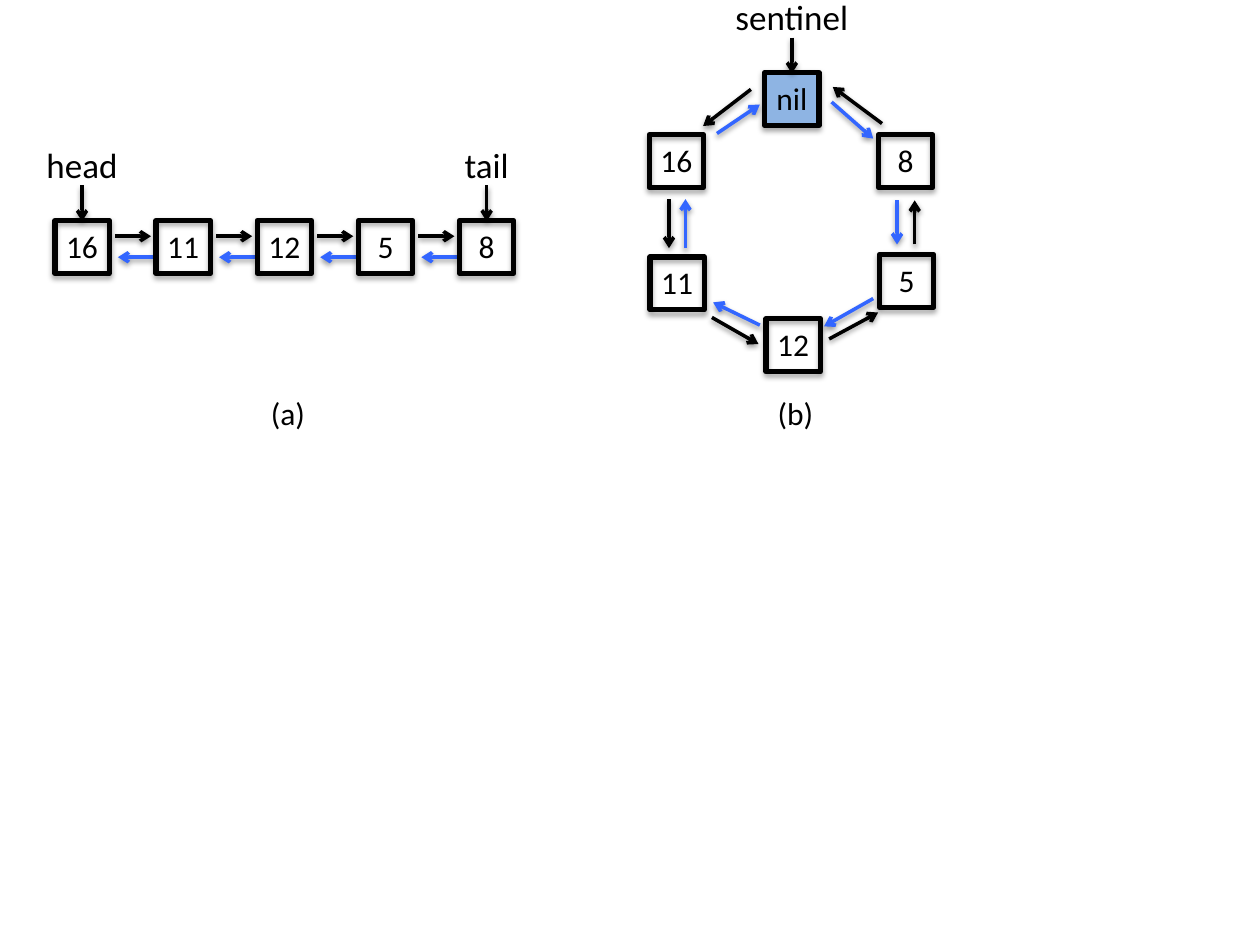
from lxml import etree
from pptx import Presentation
from pptx.dml.color import RGBColor
from pptx.enum.shapes import MSO_CONNECTOR, MSO_SHAPE
from pptx.enum.text import MSO_ANCHOR, PP_ALIGN
from pptx.oxml.ns import qn
from pptx.util import Pt

RECTANGLE = MSO_SHAPE.RECTANGLE
STRAIGHT = MSO_CONNECTOR.STRAIGHT
CENTER = PP_ALIGN.CENTER
MIDDLE = MSO_ANCHOR.MIDDLE

BLACK = "000000"
BLUE = "3366FF"
SENTINEL_FILL = "8EB4E3"
NODE_WIDTH = 31
NODE_HEIGHT = 30.2
NODE_TOP = 48
CAPTION_HEIGHT = 28.8
CAPTION_SHIFT = 2


def color(value):
    return RGBColor.from_string(value)


def add_shadow(shape, opacity, distance):
    shape_properties = shape._element.spPr
    effects = etree.SubElement(shape_properties, qn("a:effectLst"))
    shadow = etree.SubElement(
        effects, qn("a:outerShdw"), blurRad=str(Pt(3.1)), dist=str(Pt(distance)),
        dir="5400000", rotWithShape="0")
    shade = etree.SubElement(shadow, qn("a:srgbClr"), val=BLACK)
    etree.SubElement(shade, qn("a:alpha"), val=str(opacity * 1000))


def add_label(slide, text, center, top, width, height, size):
    label = slide.shapes.add_textbox(
        Pt(center - width / 2), Pt(top), Pt(width), Pt(height))
    frame = label.text_frame
    frame.word_wrap = False
    frame.vertical_anchor = MIDDLE
    paragraph = frame.paragraphs[0]
    paragraph.alignment = CENTER
    run = paragraph.add_run()
    run.text = text
    run.font.name = "Calibri"
    run.font.size = Pt(size)
    run.font.color.rgb = color(BLACK)


def add_node(slide, text, left, top, fill=None):
    node = slide.shapes.add_shape(
        RECTANGLE, Pt(left), Pt(top), Pt(NODE_WIDTH), Pt(NODE_HEIGHT))
    if fill:
        node.fill.solid()
        node.fill.fore_color.rgb = color(fill)
    else:
        node.fill.background()
    node.line.color.rgb = color(BLACK)
    node.line.width = Pt(3)
    add_shadow(node, 35, 1.8)
    add_label(slide, text, left + NODE_WIDTH / 2, top, 33, 28.8, 18)


def add_arrow(slide, start, end, line_color):
    arrow = slide.shapes.add_connector(
        STRAIGHT, Pt(start[0]), Pt(start[1]), Pt(end[0]), Pt(end[1]))
    arrow.line.color.rgb = color(line_color)
    arrow.line.width = Pt(2)
    etree.SubElement(arrow.line._get_or_add_ln(), qn("a:tailEnd"), type="arrow")
    add_shadow(arrow, 38, 1.6)


def add_pointer(slide, text, center, top):
    add_label(slide, text, center, top, 80, 31.7, 20)
    add_arrow(slide, (center, top + 28), (center, top + NODE_TOP + 0.5), BLACK)


def add_caption(slide, text, left, top, width, height):
    add_label(slide, text, left + width / 2 + CAPTION_SHIFT,
              top + height - CAPTION_HEIGHT, 35, CAPTION_HEIGHT, 18)


def add_chain(slide, left, top, width, height):
    values = ["16", "11", "12", "5", "8"]
    pitch = (width - NODE_WIDTH) / (len(values) - 1)
    for index, value in enumerate(values):
        node_left = left + index * pitch
        add_node(slide, value, node_left, top + NODE_TOP)
        if index < len(values) - 1:
            next_y, previous_y = top + 57, top + 69
            add_arrow(slide, (node_left + 34.2, next_y),
                      (node_left + 54.9, next_y), BLACK)
            add_arrow(slide, (node_left + 56.7, previous_y),
                      (node_left + 36, previous_y), BLUE)
    add_pointer(slide, "head", left + NODE_WIDTH / 2, top)
    add_pointer(slide, "tail", left + width - NODE_WIDTH / 2, top)
    add_caption(slide, "(a)", left, top, width, height)


def add_ring(slide, left, top, width, height):
    nodes = [
        ("nil", 66, NODE_TOP, SENTINEL_FILL),
        ("16", 0, 83.5, None),
        ("11", 0.5, 153.4, None),
        ("12", 66.8, 188.7, None),
        ("5", 131.6, 151.9, None),
        ("8", 131, 83.5, None),
    ]
    next_links = [
        ((58.1, 57.6), (30.8, 78.5)),
        ((11.3, 120.3), (11.3, 148.3)),
        ((35.8, 187.9), (62.4, 203.1)),
        ((102.8, 200.2), (130.8, 185.1)),
        ((151.7, 146.2), (151.7, 121)),
        ((133, 77.1), (104.9, 56.2)),
    ]
    previous_links = [
        ((38.7, 82.8), (63.2, 66.3)),
        ((20.7, 148.3), (20.7, 120.3)),
        ((63.2, 192.3), (36.5, 179.3)),
        ((128, 177.1), (99.9, 193)),
        ((141.6, 121), (141.6, 146.2)),
        ((104.2, 64.8), (128, 85.7)),
    ]
    for value, x, y, fill in nodes:
        add_node(slide, value, left + x, top + y, fill)
    for links, line_color in ((next_links, BLACK), (previous_links, BLUE)):
        for start, end in links:
            add_arrow(slide, (left + start[0], top + start[1]),
                      (left + end[0], top + end[1]), line_color)
    add_pointer(slide, "sentinel", left + width / 2, top)
    add_caption(slide, "(b)", left, top, width, height)


def main():
    presentation = Presentation()
    presentation.slide_width = Pt(720)
    presentation.slide_height = Pt(540)
    slide = presentation.slides.add_slide(presentation.slide_layouts[6])
    add_chain(slide, 31.4, 78, 262.2, 172.6)
    add_ring(slide, 371, -6.5, 163, 257.1)
    presentation.save("out.pptx")


if __name__ == "__main__":
    main()
